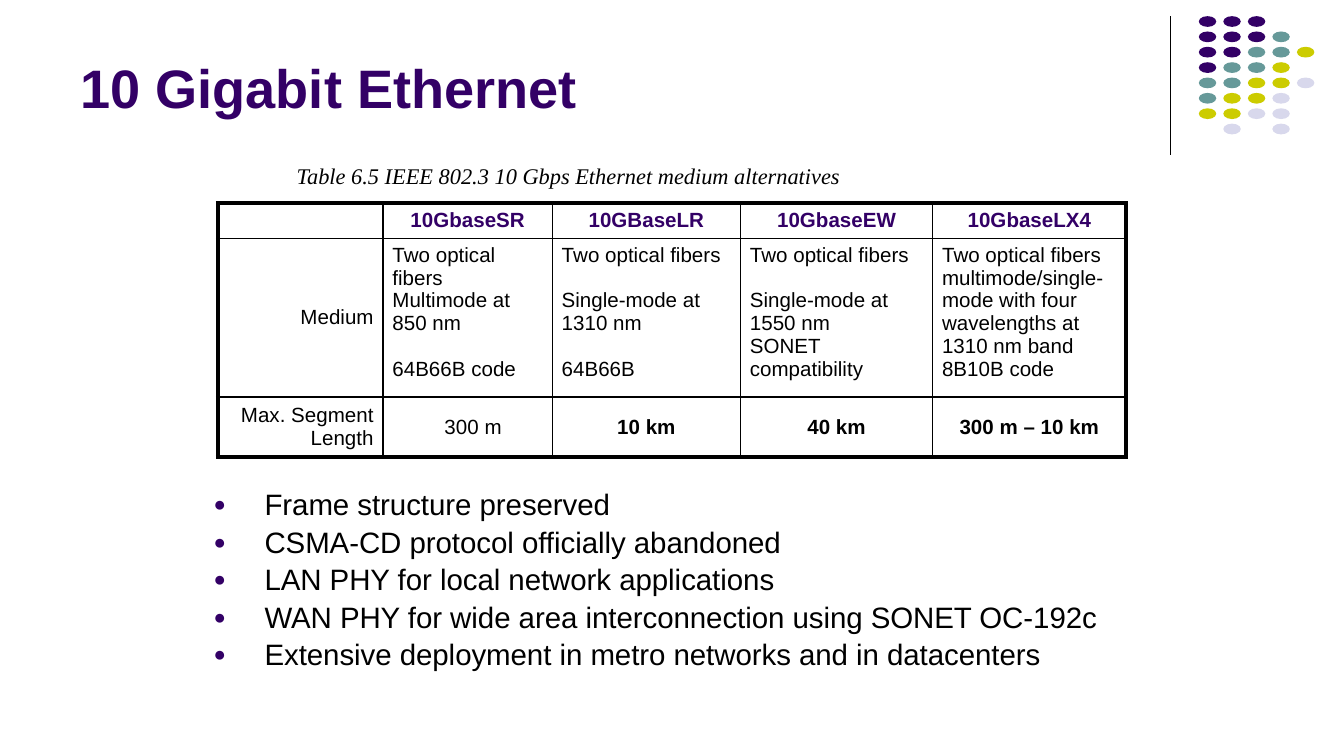
import pptx
import pptx.dml.color
import pptx.enum.shapes
import pptx.enum.text
import pptx.oxml
import pptx.oxml.ns
import pptx.util
from lxml import etree

Inches = pptx.util.Inches
Pt = pptx.util.Pt
Align = pptx.enum.text.PP_ALIGN
Anchor = pptx.enum.text.MSO_ANCHOR
qn = pptx.oxml.ns.qn

# Content
COLORS = {"purple": "330066", "teal": "669999", "lime": "CCCC00",
          "lavender": "D8D8EC", "black": "000000"}
TITLE = "10 Gigabit Ethernet"
CAPTION = "Table 6.5 IEEE 802.3 10 Gbps Ethernet medium alternatives"
STANDARDS = ["", "10GbaseSR", "10GBaseLR", "10GbaseEW", "10GbaseLX4"]
# Each medium line is (text, whether a blank line's height precedes it)
MEDIUM = [
    [("Medium", False)],
    [("Two optical fibers", False), ("Multimode at 850 nm", False), ("64B66B code", True)],
    [("Two optical fibers", False), ("Single-mode at 1310 nm", True), ("64B66B", True)],
    [("Two optical fibers", False), ("Single-mode at 1550 nm", True),
     ("SONET compatibility", False)],
    [("Two optical fibers multimode/single-mode with four wavelengths at 1310 nm band", False),
     ("8B10B code", False)],
]
SEGMENT_LENGTHS = ["Max. Segment Length", "300 m", "10 km", "40 km", "300 m – 10 km"]
BULLETS = [
    "Frame structure preserved",
    "CSMA-CD protocol officially abandoned",
    "LAN PHY for local network applications",
    "WAN PHY for wide area interconnection using SONET OC-192c",
    "Extensive deployment in metro networks and in datacenters",
]
COLUMN_WIDTHS = [1.23, 1.26, 1.4, 1.43, 1.44]
ROW_HEIGHTS = [0.26, 1.18, 0.44]
DOT_ROWS = ["PPP", "PPPT", "PPTTL", "PTTL", "TTLLV", "TLLV", "LLVV", " V V"]
DOT_COLORS = {"P": "purple", "T": "teal", "L": "lime", "V": "lavender"}


def rgb(name):
    return pptx.dml.color.RGBColor.from_string(COLORS[name])


def style(paragraph, size, color="black", font="Arial", bold=False, italic=False):
    for run in paragraph.runs:
        run.font.name, run.font.size = font, Pt(size)
        run.font.bold, run.font.italic = bold, italic
        run.font.color.rgb = rgb(color)


def add_text(slide, left, top, width, height, lines, anchor=Anchor.TOP, wrap=True):
    box = slide.shapes.add_textbox(Inches(left), Inches(top), Inches(width), Inches(height))
    box.text_frame.word_wrap = wrap
    box.text_frame.vertical_anchor = anchor
    box.text_frame.text = "\n".join(lines)
    return box.text_frame.paragraphs


def set_borders(cell, widths):
    properties = cell._tc.get_or_add_tcPr()
    for side, width in zip("LRTB", widths):
        line = etree.SubElement(properties, qn(f"a:ln{side}"), w=str(Pt(width)))
        fill = etree.SubElement(line, qn("a:solidFill"))
        etree.SubElement(fill, qn("a:srgbClr"), val=COLORS["black"])


def add_bullet(paragraph):
    properties = paragraph._p.get_or_add_pPr()
    properties.set("marL", str(Inches(0.38)))
    properties.set("indent", str(Inches(-0.38)))
    color = etree.SubElement(properties, qn("a:buClr"))
    etree.SubElement(color, qn("a:srgbClr"), val=COLORS["purple"])
    etree.SubElement(properties, qn("a:buSzPct"), val="70000")
    etree.SubElement(properties, qn("a:buFont"), typeface="Arial")
    etree.SubElement(properties, qn("a:buChar"), char="●")


def add_corner_dots(slide):
    rule = slide.shapes.add_connector(pptx.enum.shapes.MSO_CONNECTOR.STRAIGHT,
                                      Inches(8.71), Inches(0.12), Inches(8.71), Inches(1.15))
    rule.line.color.rgb = rgb("black")
    rule.line.width = Pt(0.75)
    etree.SubElement(rule._element.spPr, qn("a:effectLst"))
    for row, pattern in enumerate(DOT_ROWS):
        for column, key in enumerate(pattern):
            if key == " ":
                continue
            dot = slide.shapes.add_shape(
                pptx.enum.shapes.MSO_SHAPE.OVAL, Inches(8.92 + 0.73 / 4 * column),
                Inches(0.12 + 0.8 / 7 * row), Inches(0.13), Inches(0.08))
            dot.shadow.inherit = False
            dot.fill.solid()
            dot.fill.fore_color.rgb = rgb(DOT_COLORS[key])
            dot.line.fill.background()


def add_medium_table(slide):
    frame = slide.shapes.add_table(len(ROW_HEIGHTS), len(COLUMN_WIDTHS), Inches(1.62), Inches(1.51),
                                   Inches(sum(COLUMN_WIDTHS)), Inches(sum(ROW_HEIGHTS)))
    table = frame.table
    table.first_row = table.horz_banding = False
    for column, width in zip(table.columns, COLUMN_WIDTHS):
        column.width = Inches(width)
    for row, height in zip(table.rows, ROW_HEIGHTS):
        row.height = Inches(height)

    rows = [[[(text, False)] for text in STANDARDS], MEDIUM,
            [[(text, False)] for text in SEGMENT_LENGTHS]]
    last_row, last_column = len(ROW_HEIGHTS) - 1, len(COLUMN_WIDTHS) - 1
    for r, row in enumerate(rows):
        for c, lines in enumerate(row):
            cell = table.cell(r, c)
            edges = (c == 0, c == last_column, r == 0, r == last_row)
            set_borders(cell, [2.25 if edge else 1 for edge in edges])
            cell.fill.background()
            cell.margin_left = cell.margin_right = Inches(0.07)
            cell.margin_top = cell.margin_bottom = Inches(0.04)
            is_medium = r == 1 and c > 0
            cell.vertical_anchor = Anchor.TOP if is_medium else Anchor.MIDDLE
            cell.text_frame.text = "\n".join(text for text, _ in lines)
            for paragraph, (_, gap) in zip(cell.text_frame.paragraphs, lines):
                if is_medium:
                    paragraph.alignment = Align.LEFT
                else:
                    paragraph.alignment = Align.RIGHT if r and c == 0 else Align.CENTER
                if gap:
                    paragraph.space_before = Pt(12.2)
                # Also keeps the empty corner cell from stretching its row
                paragraph.font.size = Pt(11)
                style(paragraph, 11, "black" if r else "purple",
                      bold=r == 0 or (r == last_row and c > 1))
    # The only regular-weight length sits slightly right of centre
    table.cell(last_row, 1).margin_left = Inches(0.15)


def main():
    presentation = pptx.Presentation()
    # A 16:9 slide
    presentation.slide_width, presentation.slide_height = Inches(10), Inches(10 * 9 / 16)
    slide = presentation.slides.add_slide(presentation.slide_layouts[6])

    add_corner_dots(slide)

    # Title and table caption
    style(add_text(slide, 0.5, 0.1, 8.25, 0.84, [TITLE], Anchor.BOTTOM)[0],
          29, "purple", bold=True)
    style(add_text(slide, 2.11, 1.16, 4.34, 0.3, [CAPTION], Anchor.MIDDLE, wrap=False)[0],
          12, font="Times New Roman", italic=True)

    add_medium_table(slide)

    # Bullet list
    for index, paragraph in enumerate(add_text(slide, 1.49, 3.6, 6.99, 1.41, BULLETS)):
        paragraph.line_spacing = 0.9
        if index:
            paragraph.space_before = Pt(3.1)
        add_bullet(paragraph)
        style(paragraph, 15.75)

    presentation.save("out.pptx")


if __name__ == "__main__":
    main()
